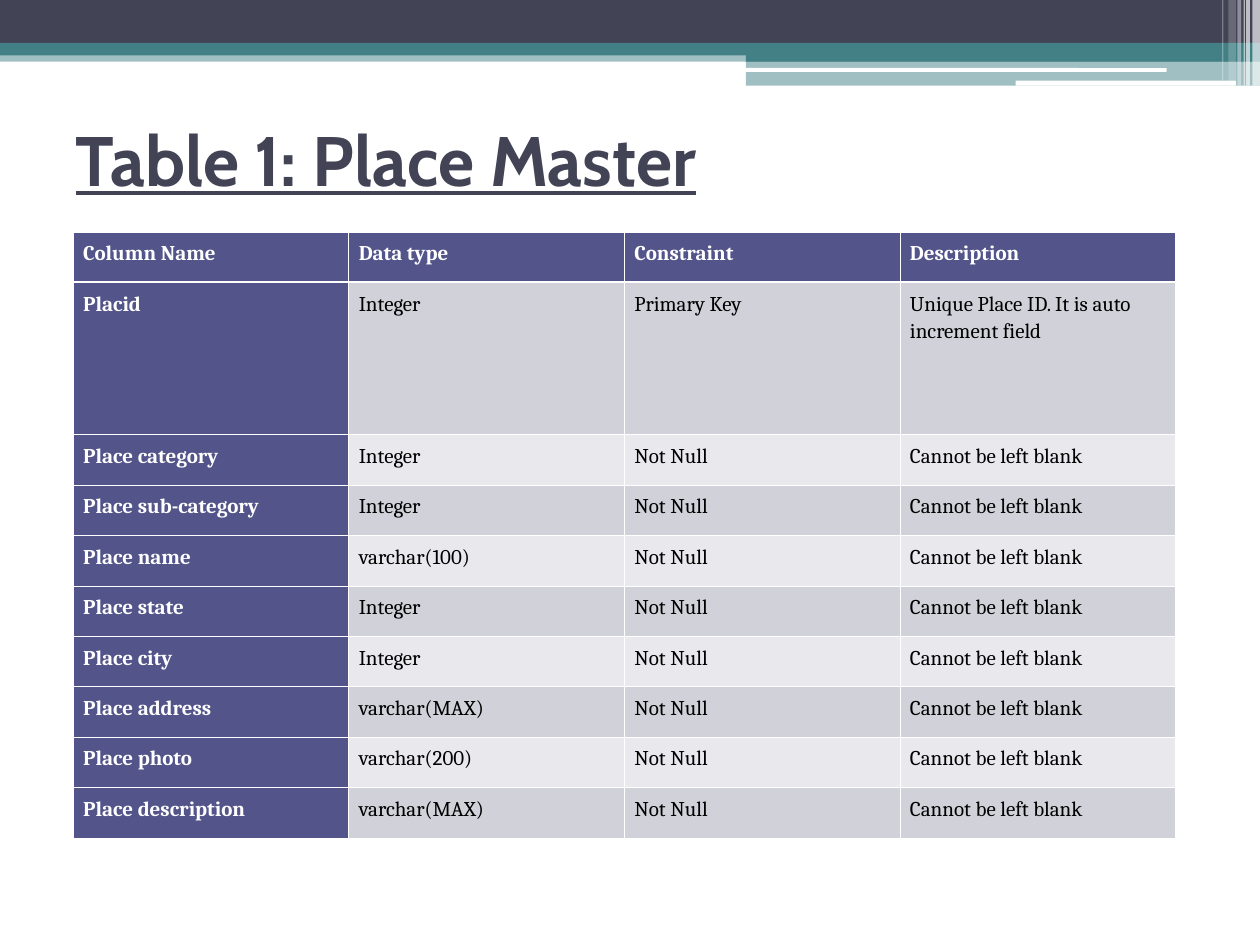
from lxml.etree import SubElement
from pptx import Presentation
from pptx.dml.color import RGBColor
from pptx.enum.shapes import MSO_SHAPE
from pptx.enum.text import MSO_ANCHOR, MSO_AUTO_SIZE, PP_ALIGN
from pptx.oxml.ns import qn
from pptx.util import Inches, Pt

COLORS = {
    "white": "FFFFFF", "black": "000000", "navy": "424456", "teal": "438086",
    "purple": "53548A", "band_dark": "D1D1DA", "band_light": "E9E9ED",
}

# shape, left, top, width, height, colour, opacity in percent
BANNER = [
    ("RECTANGLE", 0, 0.4, 10, 0.09, "teal", 50),
    ("RECTANGLE", 0, 0, 10, 0.34, "navy", 100),
    ("RECTANGLE", 0, 0.34, 10, 0.1, "teal", 100),
    ("RECTANGLE", 5.92, 0.39, 4.08, 0.1, "teal", 100),
    ("RECTANGLE", 5.92, 0.48, 4.08, 0.2, "teal", 50),
    ("ROUNDED_RECTANGLE", 5.91, 0.54, 3.35, 0.03, "white", 100),
    ("ROUNDED_RECTANGLE", 8.06, 0.64, 1.75, 0.04, "white", 100),
    ("RECTANGLE", 9.94, 0, 0.06, 0.68, "white", 65),
    ("RECTANGLE", 9.89, 0, 0.03, 0.68, "white", 65),
    ("RECTANGLE", 9.87, 0, 0.01, 0.68, "white", 60),
    ("RECTANGLE", 9.82, 0, 0.03, 0.68, "white", 40),
    ("RECTANGLE", 9.75, 0, 0.06, 0.64, "white", 20),
    ("RECTANGLE", 9.7, 0, 0.01, 0.64, "white", 30),
]

HEADERS = ["Column Name", "Data type", "Constraint", "Description"]
KEY_ROW = ["Placid", "Integer", "Primary Key",
           "Unique Place ID. It is auto increment field"]
FIELDS = [
    ("Place category", "Integer"),
    ("Place sub-category", "Integer"),
    ("Place name", "varchar(100)"),
    ("Place state", "Integer"),
    ("Place city", "Integer"),
    ("Place address", "varchar(MAX)"),
    ("Place photo", "varchar(200)"),
    ("Place description", "varchar(MAX)"),
]
ROWS = [HEADERS, KEY_ROW] + [
    [*field, "Not Null", "Cannot be left blank"] for field in FIELDS]


class SlideBuilder:
    """Holds the style and the slide being filled."""

    title_font = {"name": "Cabin", "size": Pt(40), "bold": True, "underline": True}
    cell_font = {"name": "Cambria", "size": Pt(12)}
    cell_margins = {"margin_left": Inches(0.08), "margin_right": Inches(0.08),
                    "margin_top": Inches(0.05), "margin_bottom": Inches(0.05)}

    def __init__(self, prs):
        self.s = prs.slides.add_slide(prs.slide_layouts[5])

    @staticmethod
    def apply(obj, values):
        for name, value in values.items():
            setattr(obj, name, value)

    @staticmethod
    def rgb(color):
        return RGBColor.from_string(COLORS[color])

    def add_text(self, p, text, font, color):
        r = p.add_run()
        r.text = text
        self.apply(r.font, font)
        r.font.color.rgb = self.rgb(color)

    def bar(self, kind, x, y, w, h, color, opacity):
        sp = self.s.shapes.add_shape(
            MSO_SHAPE[kind], Inches(x), Inches(y), Inches(w), Inches(h))
        sp.shadow.inherit = False
        sp.line.fill.background()
        sp.fill.solid()
        sp.fill.fore_color.rgb = self.rgb(color)
        if opacity < 100:
            clr = sp._element.spPr.find(f".//{qn('a:srgbClr')}")
            SubElement(clr, qn("a:alpha"), val=str(opacity * 1000))

    def title(self, text, x, y, w, h):
        sp = self.s.shapes.title
        self.s.shapes._spTree.append(sp._element)  # in front of the banner
        self.apply(sp, {"left": Inches(x), "top": Inches(y),
                        "width": Inches(w), "height": Inches(h)})
        tf = sp.text_frame
        self.apply(tf, {"word_wrap": True, "auto_size": MSO_AUTO_SIZE.NONE,
                        "vertical_anchor": MSO_ANCHOR.MIDDLE})
        p = tf.paragraphs[0]
        p.alignment = PP_ALIGN.LEFT
        self.add_text(p, text, self.title_font, "navy")

    def borders(self, cell, row):
        """White hairlines, with a thicker rule under the header row."""
        widths = {"L": 0.45, "R": 0.45, "T": 1.47 if row == 1 else 0.45,
                  "B": 1.47 if row == 0 else 0.45}
        tcPr = cell._tc.get_or_add_tcPr()
        for side, width in widths.items():
            ln = SubElement(tcPr, qn(f"a:ln{side}"), w=str(Pt(width)))
            fill = SubElement(ln, qn("a:solidFill"))
            SubElement(fill, qn("a:srgbClr"), val=COLORS["white"])

    def cell(self, cell, text, row, col):
        heading = row == 0 or col == 0
        self.apply(cell, self.cell_margins)
        self.borders(cell, row)
        cell.fill.solid()
        band = "band_dark" if row % 2 else "band_light"
        cell.fill.fore_color.rgb = self.rgb("purple" if heading else band)
        p = cell.text_frame.paragraphs[0]
        p.line_spacing = 1.15
        self.add_text(p, text, {**self.cell_font, "bold": heading},
                      "white" if heading else "black")

    def table(self, rows, x, y, w, heights):
        table = self.s.shapes.add_table(
            len(rows), len(rows[0]), Inches(x), Inches(y),
            Inches(w), Inches(sum(heights))).table
        self.apply(table, {"first_row": False, "horz_banding": False})
        for i, (row, height) in enumerate(zip(rows, heights)):
            table.rows[i].height = Inches(height)
            for j, text in enumerate(row):
                self.cell(table.cell(i, j), text, i, j)


def main():
    prs = Presentation()
    prs.slide_width, prs.slide_height = Inches(10), Inches(7.5)
    slide = SlideBuilder(prs)
    for bar in BANNER:
        slide.bar(*bar)
    slide.title("Table 1: Place Master", 0.5, 0.67, 9, 1.17)
    heights = [1.21 if row is KEY_ROW else 0.4 for row in ROWS]
    slide.table(ROWS, 0.58, 1.84, 8.75, heights)
    prs.save("out.pptx")


if __name__ == "__main__":
    main()
